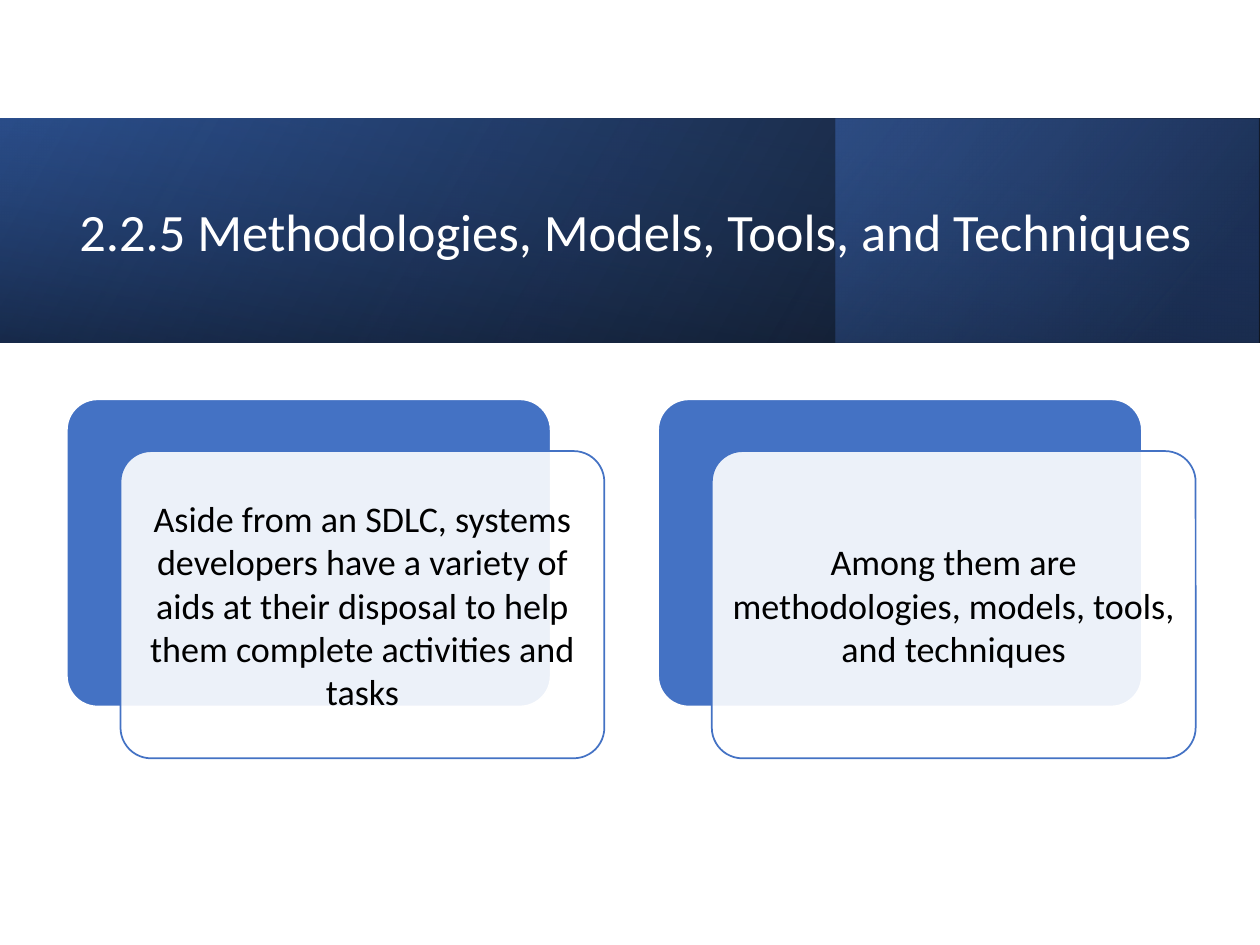
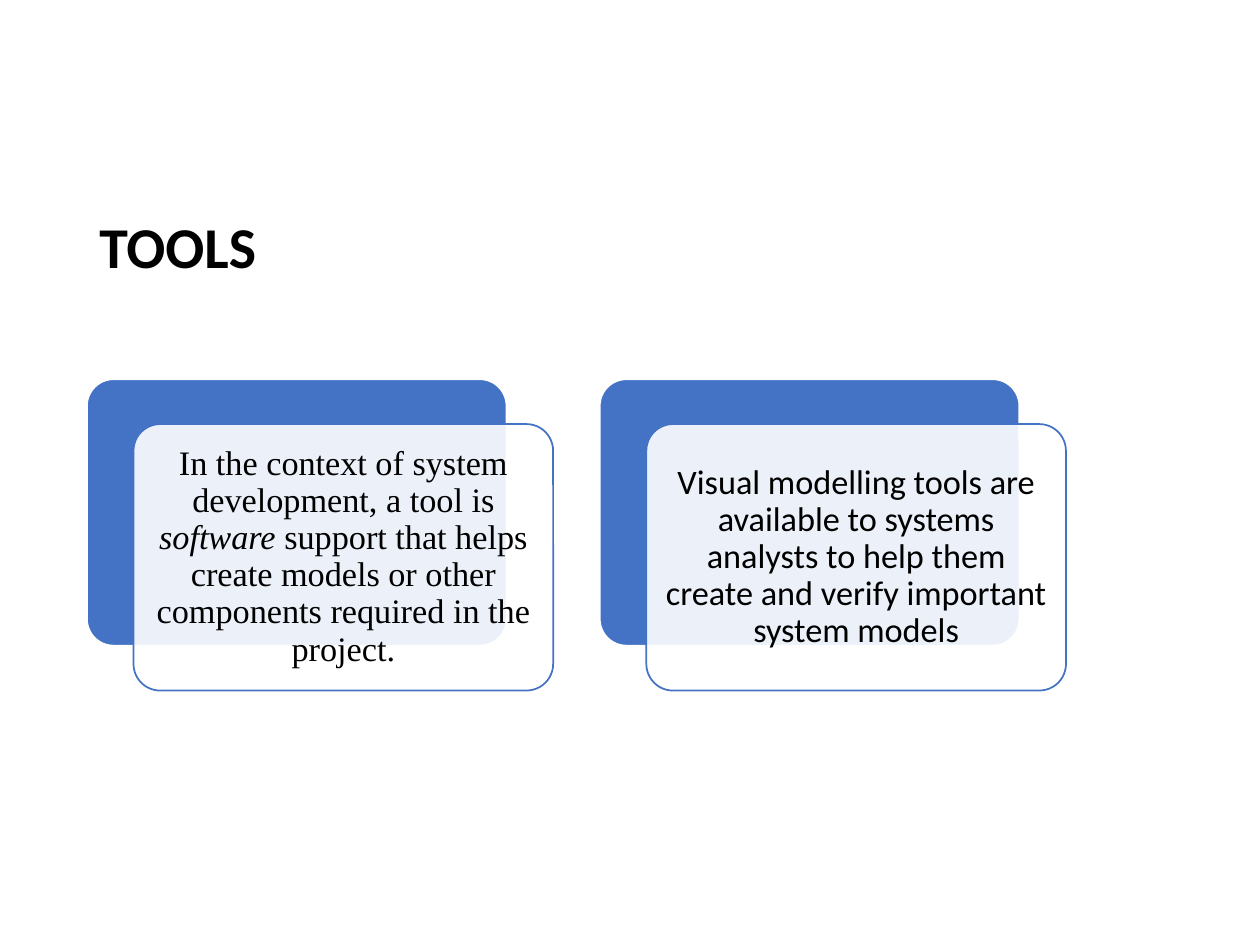
from dataclasses import dataclass

from lxml.etree import SubElement
from pptx import Presentation
from pptx.dml.color import RGBColor
from pptx.enum.shapes import MSO_SHAPE as Preset
from pptx.enum.text import MSO_ANCHOR as Anchor, PP_ALIGN as Align
from pptx.oxml.ns import qn
from pptx.util import Pt

BLUE, NAVY, DEEP = "4472C4", "2F5597", "203864"
WHITE, BLACK = "FFFFFF", "000000"
SANS, SERIF = "Calibri", "Times New Roman"


@dataclass(frozen=True)
class Box:
    left: float
    top: float
    width: float
    height: float

    def moved(self, right: float, down: float) -> "Box":
        return Box(self.left + right, self.top + down, self.width, self.height)

    def shrunk(self, inset: float) -> "Box":
        return Box(self.left + inset, self.top + inset,
                   self.width - 2 * inset, self.height - 2 * inset)

    def lengths(self) -> tuple:
        return Pt(self.left), Pt(self.top), Pt(self.width), Pt(self.height)


@dataclass(frozen=True)
class Stop:
    position: float
    color: str
    opacity: int = 100


@dataclass(frozen=True)
class Band:
    box: Box
    stops: tuple[Stop, Stop]
    angle: int
    rotation: int = 0


@dataclass(frozen=True)
class Style:
    size: float
    color: str = BLACK
    font: str = SANS
    bold: bool = False
    align: Align = Align.LEFT
    spacing: float = 0.9


@dataclass(frozen=True)
class Card:
    text: str
    font: str = SANS
    emphasis: str = ""


@dataclass(frozen=True)
class Page:
    title: str
    title_box: Box
    title_style: Style
    left: float
    top: float
    card_width: float
    text_size: float
    spacing: float
    cards: tuple[Card, ...]
    bands: tuple[Band, ...] = ()


PAGES = (
    Page(
        "2.2.5 Methodologies, Models, Tools, and Techniques",
        Box(38.2, 87.8, 658, 92.9), Style(30, WHITE),
        38.2, 228.2, 276.5, 20.6, 1.0,
        (
            Card("Aside from an SDLC, systems developers have a variety of aids "
                 "at their disposal to help them complete activities and tasks"),
            Card("Among them are methodologies, models, tools, and techniques"),
        ),
        (
            Band(Box(0, 67.7, 720, 128.2),
                 (Stop(0, BLACK, 96), Stop(1, NAVY)), 30),
            Band(Box(477.4, 67.7, 241.9, 128.2),
                 (Stop(0.19, DEEP, 68), Stop(1, BLUE, 48)), 40),
            Band(Box(295.9, -228.2, 128.2, 720),
                 (Stop(0.23, NAVY, 16), Stop(0.99, BLACK, 45)), 10, 270),
        ),
    ),
    Page(
        "TOOLS", Box(49.7, 115.2, 560.2, 55.4), Style(33, bold=True),
        49.7, 216.7, 239.8, 19.6, 0.9,
        (
            Card("In the context of system development, a tool is software support "
                 "that helps create models or other components required in the "
                 "project.", SERIF, "software"),
            Card("Visual modelling tools are available to systems analysts to help "
                 "them create and verify important system models"),
        ),
    ),
)


def rgb(color: str) -> RGBColor:
    return RGBColor.from_string(color)


def set_opacity(shape, opacities: list[int]) -> None:
    colors = shape._element.spPr.iter(qn("a:srgbClr"))
    for color, opacity in zip(colors, opacities):
        if opacity < 100:
            SubElement(color, qn("a:alpha")).set("val", str(opacity * 1000))


def add_band(slide, band: Band) -> None:
    shape = slide.shapes.add_shape(Preset.RECTANGLE, *band.box.lengths())
    shape.shadow.inherit = False
    shape.line.fill.background()
    shape.rotation = band.rotation
    shape._element.spPr.find(qn("a:xfrm")).set("flipH", "1")
    shape.fill.gradient()
    shape.fill.gradient_angle = band.angle
    for target, stop in zip(shape.fill.gradient_stops, band.stops):
        target.position = stop.position
        target.color.rgb = rgb(stop.color)
    set_opacity(shape, [stop.opacity for stop in band.stops])


def add_panel(slide, box: Box, fill: str, line: str, opacity: int = 100) -> None:
    panel = slide.shapes.add_shape(Preset.ROUNDED_RECTANGLE, *box.lengths())
    panel.adjustments[0] = 0.1
    panel.shadow.inherit = False
    panel.fill.solid()
    panel.fill.fore_color.rgb = rgb(fill)
    set_opacity(panel, [opacity])
    panel.line.color.rgb = rgb(line)
    panel.line.width = Pt(1)


def add_text(slide, box: Box, text: str, style: Style,
             margin: float | None = None, emphasis: str = "") -> None:
    frame = slide.shapes.add_textbox(*box.lengths()).text_frame
    frame.word_wrap = True
    frame.vertical_anchor = Anchor.MIDDLE
    if margin is not None:
        frame.margin_left = frame.margin_right = Pt(margin)
        frame.margin_top = frame.margin_bottom = Pt(margin)
    paragraph = frame.paragraphs[0]
    paragraph.alignment = style.align
    paragraph.line_spacing = style.spacing
    parts = text.partition(emphasis) if emphasis else (text,)
    for part in parts:
        run = paragraph.add_run()
        run.text = part
        run.font.size = Pt(style.size)
        run.font.name = style.font
        run.font.bold = style.bold
        run.font.italic = part == emphasis
        run.font.color.rgb = rgb(style.color)


def add_cards(slide, page: Page) -> None:
    width = page.card_width
    first = Box(page.left, page.top, width, 0.635 * width)
    for index, card in enumerate(page.cards):
        back = first.moved(index * 1.222 * width, 0)
        front = back.moved(0.111 * width, 0.107 * width)
        add_panel(slide, back, BLUE, WHITE)
        add_panel(slide, front, WHITE, BLUE, 90)
        style = Style(page.text_size, font=card.font, align=Align.CENTER,
                      spacing=page.spacing)
        add_text(slide, front.shrunk(0.0186 * width), card.text, style,
                 0.3 * page.text_size, card.emphasis)


def main() -> None:
    deck = Presentation()
    deck.slide_width, deck.slide_height = Pt(720), Pt(540)
    for page in PAGES:
        slide = deck.slides.add_slide(deck.slide_layouts[6])
        for band in page.bands:
            add_band(slide, band)
        add_text(slide, page.title_box, page.title, page.title_style)
        add_cards(slide, page)
    deck.save("out.pptx")


if __name__ == "__main__":
    main()
